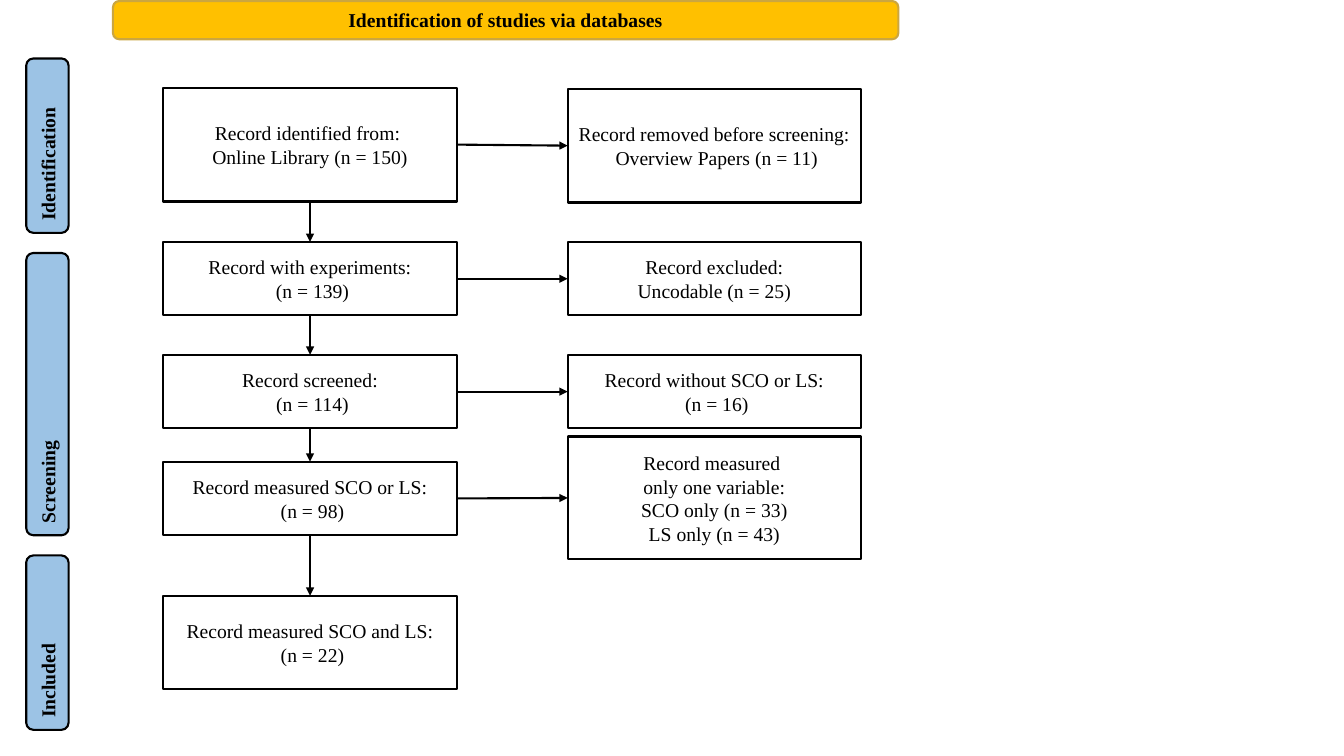
from lxml import etree
from pptx import Presentation
from pptx.dml.color import RGBColor
from pptx.enum.shapes import MSO_CONNECTOR, MSO_SHAPE
from pptx.enum.text import MSO_ANCHOR, PP_ALIGN
from pptx.oxml.ns import qn
from pptx.util import Inches, Pt

RECT, ROUND = MSO_SHAPE.RECTANGLE, MSO_SHAPE.ROUNDED_RECTANGLE
STRAIGHT = MSO_CONNECTOR.STRAIGHT
MIDDLE, CENTER = MSO_ANCHOR.MIDDLE, PP_ALIGN.CENTER
BOTTOM, RIGHT, TOP, LEFT = 2, 3, 0, 1

COLORS = {"ink": "000000", "paper": "FFFFFF", "gold": "FFC000",
          "rim": "CBA640", "blue": "9CC3E5"}
FONT = {"name": "Times New Roman", "size": Pt(14)}

# Flow columns: left edges and shared width
MAIN_X, SIDE_X, BOX_W = 1.62, 5.63, 2.91

# Stage labels: text, top, height
STAGES = [("Identification", 0.58, 1.73),
          ("Screening", 2.51, 2.8),
          ("Included", 5.51, 1.73)]

# Flow boxes: top, height, lines
MAIN = [
    (0.87, 1.13, ["Record identified from: ", "Online Library (n = 150)"]),
    (2.4, 0.73, ["Record with experiments:", " (n = 139)"]),
    (3.52, 0.73, ["Record screened:", " (n = 114)"]),
    (4.58, 0.73, ["Record measured SCO or LS:", " (n = 98)"]),
    (5.91, 0.93, ["Record measured SCO and LS:", " (n = 22)"]),
]
SIDE = [
    (0.88, 1.13, ["Record removed before screening:",
                  " Overview Papers (n = 11)"]),
    (2.4, 0.73, ["Record excluded:", "Uncodable (n = 25)"]),
    (3.52, 0.73, ["Record without SCO or LS:", " (n = 16)"]),
    (4.33, 1.22, ["Record measured ", "only one variable:",
                  "SCO only (n = 33)", "LS only (n = 43)"]),
]


def color(name):
    return RGBColor.from_string(COLORS[name])


def set_line(line, name):
    line.color.rgb = color(name)
    line.width = Pt(1.5)


def add_box(slide, area, lines, kind=RECT, fill="paper", edge="ink", bold=False):
    box = slide.shapes.add_shape(kind, *map(Inches, area))
    box.shadow.inherit = False
    box.fill.solid()
    box.fill.fore_color.rgb = color(fill)
    set_line(box.line, edge)
    frame = box.text_frame
    frame.vertical_anchor = MIDDLE
    for i, text in enumerate(lines):
        para = frame.add_paragraph() if i else frame.paragraphs[0]
        para.alignment = CENTER
        run = para.add_run()
        run.text = text
        for key, value in {**FONT, "bold": bold}.items():
            setattr(run.font, key, value)
        run.font.color.rgb = color("ink")
    return box


def add_stage(slide, text, top, height):
    label = add_box(slide, (0.26, top, 0.42, height), [text], ROUND, "blue",
                    bold=True)
    label.rotation = 180
    label.element.txBody.find(qn("a:bodyPr")).set("vert", "eaVert")


def add_arrow(slide, start, out, end, into):
    arrow = slide.shapes.add_connector(STRAIGHT, 0, 0, 0, 0)
    arrow.begin_connect(start, out)
    arrow.end_connect(end, into)
    set_line(arrow.line, "ink")
    tip = etree.SubElement(arrow.line._get_or_add_ln(), qn("a:tailEnd"))
    tip.set("type", "triangle")
    etree.SubElement(arrow.element.spPr, qn("a:effectLst"))


def add_column(slide, left, rows):
    return [add_box(slide, (left, top, BOX_W, height), lines)
            for top, height, lines in rows]


def main():
    deck = Presentation()
    deck.slide_width, deck.slide_height = Inches(13.33), Inches(7.5)
    slide = deck.slides.add_slide(deck.slide_layouts[6])

    # Heading and stage labels
    add_box(slide, (1.12, 0.01, 7.79, 0.38),
            ["Identification of studies via databases"],
            ROUND, "gold", "rim", bold=True)
    for stage in STAGES:
        add_stage(slide, *stage)

    # Kept and removed records
    kept = add_column(slide, MAIN_X, MAIN)
    removed = add_column(slide, SIDE_X, SIDE)

    # Arrows down the flow and out to the side
    for upper, lower in zip(kept, kept[1:]):
        add_arrow(slide, upper, BOTTOM, lower, TOP)
    for source, target in zip(kept, removed):
        add_arrow(slide, source, RIGHT, target, LEFT)

    deck.save("out.pptx")


if __name__ == "__main__":
    main()
